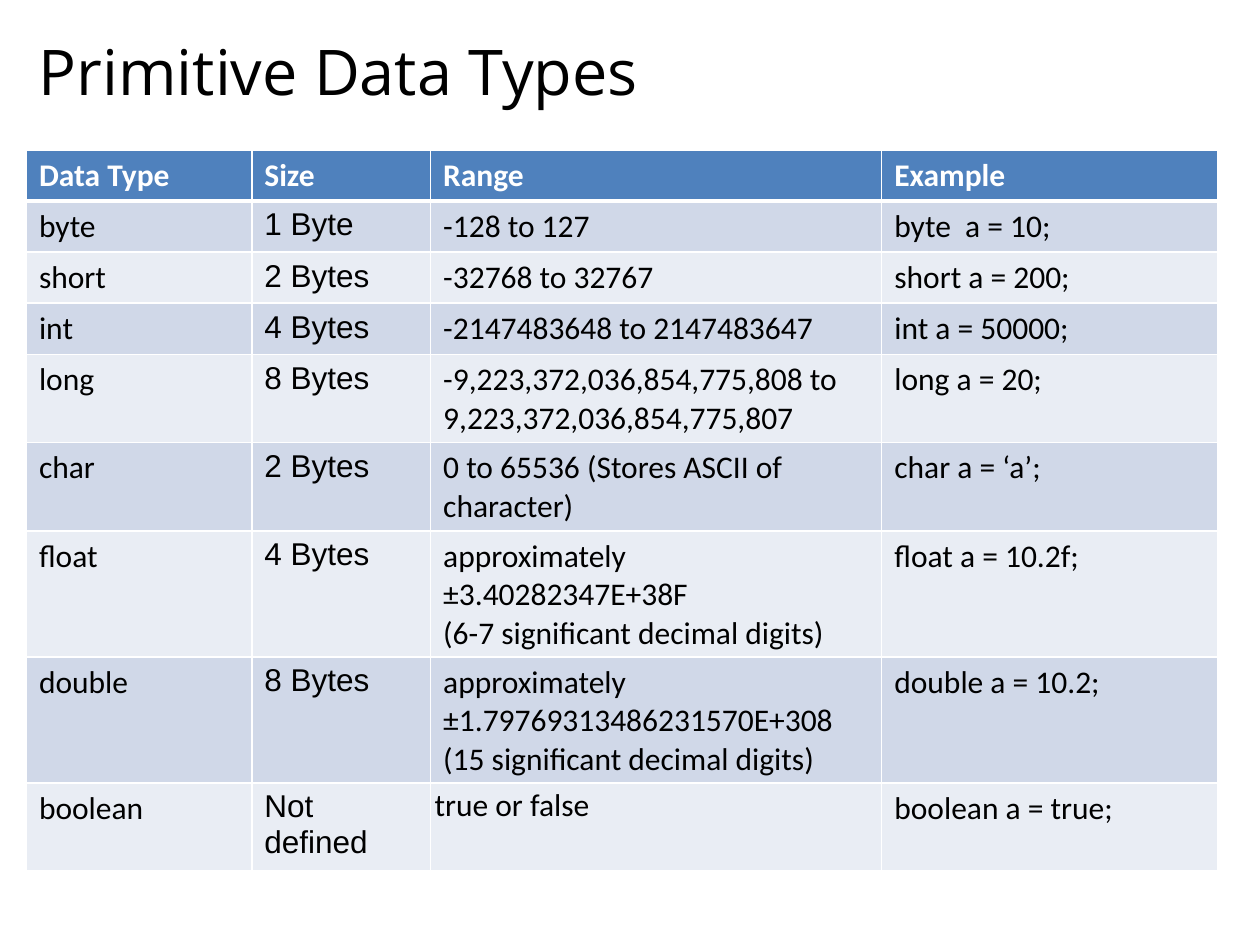
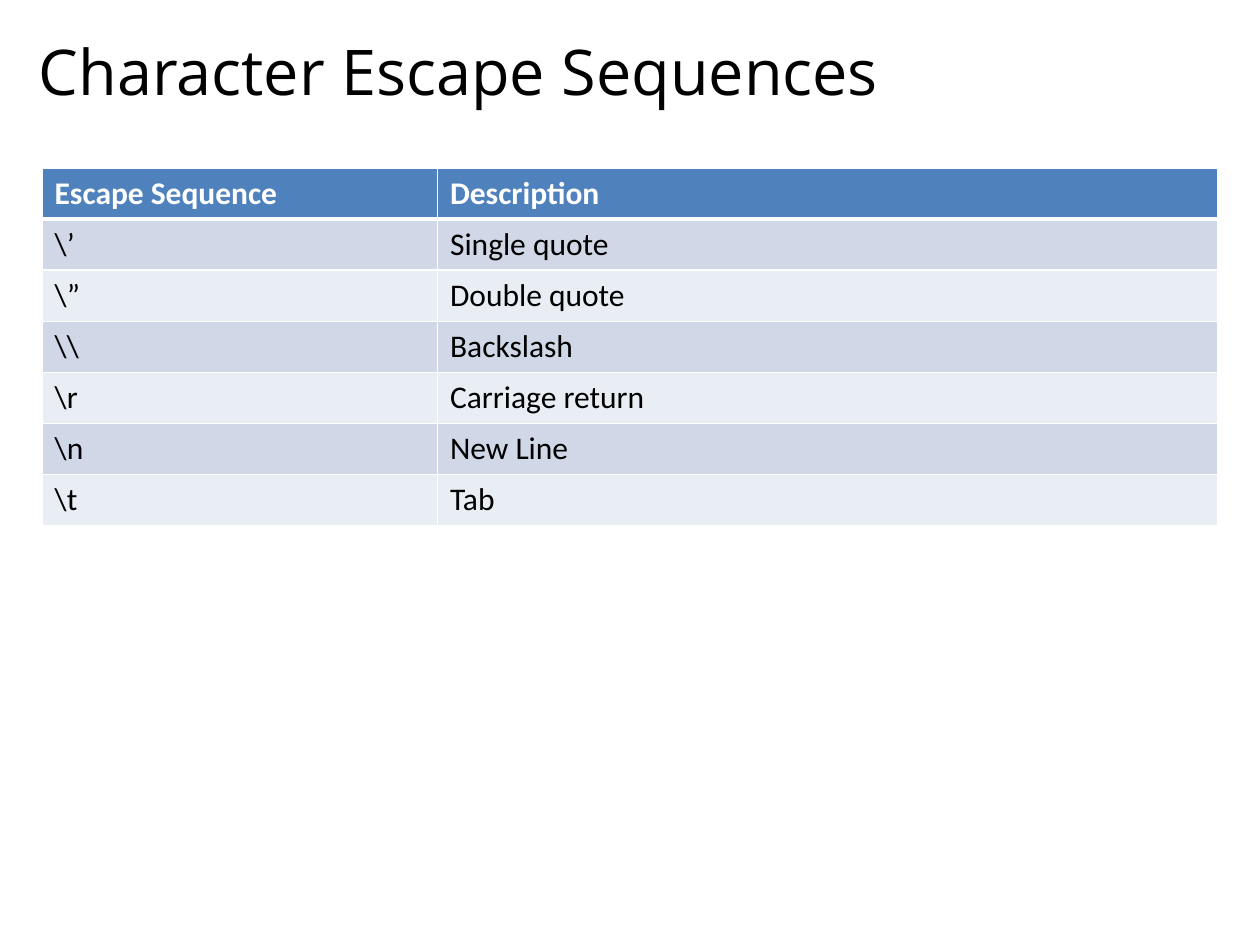
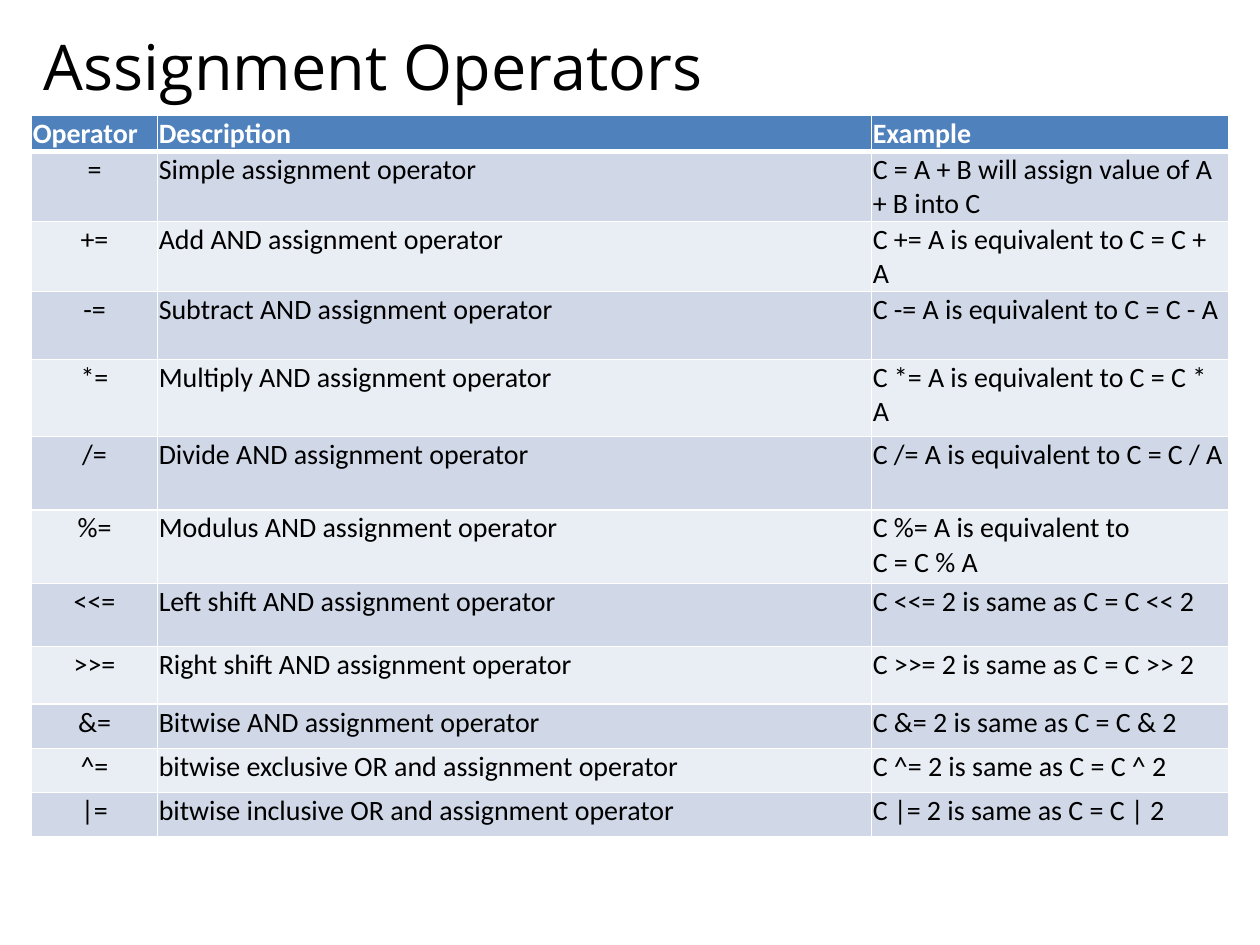
"""Build three slides of programming language reference tables."""
import dataclasses
import typing

import pptx
import pptx.dml.color
import pptx.enum.text
import pptx.oxml
import pptx.oxml.ns
import pptx.util

Pt = pptx.util.Pt
ALIGN = pptx.enum.text.PP_ALIGN
WHITE, BLACK, HEAD = "FFFFFF", "000000", "4F81BD"
BANDS = ("D0D8E8", "E9EDF4")
ROOMY, TIGHT, SNUG = (7.2, 3.6), (0.75, 0.75), (2.25, 2.25)


@dataclasses.dataclass(frozen=True)
class Box:
    left: float
    top: float
    width: float
    height: float


@dataclasses.dataclass(frozen=True)
class Look:
    font: str = "Calibri"
    align: typing.Optional[ALIGN] = None
    inset: tuple[float, float] = ROOMY


@dataclasses.dataclass(frozen=True)
class Page:
    title: str
    place: Box
    grid: Box
    cols: list[float]
    rows: list[float]
    cells: list[tuple[str, ...]]
    size: float
    looks: list[Look]
    odd: dict[tuple[int, int], Look] = dataclasses.field(default_factory=dict)


TOP = Box(15.1, 8.6, 689.8, 63.4)
PLAIN = Look()
CLOSE = Look(inset=TIGHT)
TYPES = [
    ("Data Type", "Size", "Range", "Example"),
    ("byte", "1 Byte", "-128 to 127", "byte  a = 10;"),
    ("short", "2 Bytes", "-32768 to 32767", "short a = 200;"),
    ("int", "4 Bytes", "-2147483648 to 2147483647", "int a = 50000;"),
    ("long", "8 Bytes", "-9,223,372,036,854,775,808 to 9,223,372,036,854,775,807",
     "long a = 20;"),
    ("char", "2 Bytes", "0 to 65536 (Stores ASCII of character)", "char a = ‘a’;"),
    ("float", "4 Bytes",
     "approximately ±3.40282347E+38F\v(6-7 significant decimal digits)",
     "float a = 10.2f;"),
    ("double", "8 Bytes",
     "approximately ±1.79769313486231570E+308\v(15 significant decimal digits)",
     "double a = 10.2;"),
    ("boolean", "Not defined", "true or false", "boolean a = true;"),
]
CODES = [
    ("Escape Sequence", "Description"),
    (r"\’", "Single quote"),
    (r"\”", "Double quote"),
    (r"\\", "Backslash"),
    (r"\r", "Carriage return"),
    (r"\n", "New Line"),
    (r"\t", "Tab"),
]
SIGNS = [
    ("Operator", "Description", "Example"),
    ("=", "Simple assignment operator", "C = A + B will assign value of A + B into C"),
    ("+=", "Add AND assignment operator", "C += A is equivalent to C = C + A"),
    ("-=", "Subtract AND assignment operator", "C -= A is equivalent to C = C - A"),
    ("*=", "Multiply AND assignment operator", "C *= A is equivalent to C = C * A"),
    ("/=", "Divide AND assignment operator", "C /= A is equivalent to C = C / A"),
    ("%=", "Modulus AND assignment operator", "C %= A is equivalent to\nC = C % A"),
    ("<<=", "Left shift AND assignment operator", "C <<= 2 is same as C = C << 2"),
    (">>=", "Right shift AND assignment operator", "C >>= 2 is same as C = C >> 2"),
    ("&=", "Bitwise AND assignment operator", "C &= 2 is same as C = C & 2"),
    ("^=", "bitwise exclusive OR and assignment operator",
     "C ^= 2 is same as C = C ^ 2"),
    ("|=", "bitwise inclusive OR and assignment operator",
     "C |= 2 is same as C = C | 2"),
]
PAGES = [
    Page("Primitive Data Types", TOP, Box(15.1, 85.7, 681, 391),
         [128.8, 102.2, 257.8, 192.2], [29.2] * len(TYPES), TYPES, 18,
         [PLAIN, Look("Arial"), PLAIN, PLAIN],
         {(8, 2): Look(align=ALIGN.JUSTIFY, inset=SNUG)}),
    Page("Character Escape Sequences", TOP, Box(24, 96, 672, 204.4),
         [226, 446], [29.2] * len(CODES), CODES, 18, [PLAIN, PLAIN]),
    Page("Assignment Operators", Box(18, 9.4, 648, 56.2), Box(18, 66, 684, 412.6),
         [72, 408, 204], [10, 39, 39, 39, 44, 42, 42, 36, 33, 25.2, 25.2, 25.2],
         SIGNS, 16, [Look(align=ALIGN.CENTER, inset=TIGHT), CLOSE, CLOSE]),
]


def tint(code: str) -> pptx.dml.color.RGBColor:
    """Turn a hex string into a colour."""
    return pptx.dml.color.RGBColor.from_string(code)


def put(item: typing.Any, form: dict[str, typing.Any]) -> None:
    """Set each format value on an object."""
    for name, value in form.items():
        setattr(item, name, value)


def span(box: Box) -> list[int]:
    """Give the four lengths of a box."""
    return [Pt(size) for size in dataclasses.astuple(box)]


def ink(frame: typing.Any, font: str, size: float, code: str, bold: bool,
        align: typing.Optional[ALIGN] = None) -> None:
    """Style all text in a frame."""
    for para in frame.paragraphs:
        para.alignment = align
        for run in para.runs:
            put(run.font, {"name": font, "size": Pt(size), "bold": bold})
            run.font.color.rgb = tint(code)


def edge(cell: typing.Any, row: int) -> None:
    """Rule the sides of a cell, with a thick line under the header."""
    props = cell._tc.get_or_add_tcPr()
    thick = {"T": row == 1, "B": row == 0}
    for side in "LRTB":
        width = Pt(3 if thick.get(side) else 1)
        props.append(pptx.oxml.parse_xml(
            f'<a:ln{side} {pptx.oxml.ns.nsdecls("a")} w="{width}"><a:solidFill>'
            f'<a:srgbClr val="{WHITE}"/></a:solidFill></a:ln{side}>'))


def paint(cell: typing.Any, text: str, row: int, look: Look, size: float) -> None:
    """Fill one cell with its text, borders and band colour."""
    side, end = (Pt(gap) for gap in look.inset)
    put(cell, {"text": text, "margin_left": side, "margin_right": side,
               "margin_top": end, "margin_bottom": end})
    edge(cell, row)
    cell.fill.solid()
    cell.fill.fore_color.rgb = tint(BANDS[(row - 1) % 2] if row else HEAD)
    ink(cell.text_frame, look.font, size, BLACK if row else WHITE, row == 0, look.align)


def head(slide: typing.Any, page: Page) -> None:
    """Write the slide title."""
    frame = slide.shapes.add_textbox(*span(page.place)).text_frame
    put(frame, {"text": page.title, "word_wrap": True,
                "vertical_anchor": pptx.enum.text.MSO_ANCHOR.MIDDLE})
    ink(frame, "Open Sans", 36, BLACK, False)


def chart(slide: typing.Any, page: Page) -> None:
    """Draw the table of a page."""
    shape = slide.shapes.add_table(len(page.rows), len(page.cols), *span(page.grid))
    table = shape.table
    for col, width in zip(table.columns, page.cols):
        col.width = Pt(width)
    for row, height in zip(table.rows, page.rows):
        row.height = Pt(height)
    shape.height = Pt(page.grid.height)
    for row, texts in enumerate(page.cells):
        for col, text in enumerate(texts):
            base = page.looks[col] if row else Look(inset=page.looks[col].inset)
            paint(table.cell(row, col), text, row, page.odd.get((row, col), base),
                  page.size)


def main() -> None:
    """Build and save the deck."""
    deck = pptx.Presentation()
    put(deck, {"slide_width": Pt(720), "slide_height": Pt(540)})
    for page in PAGES:
        slide = deck.slides.add_slide(deck.slide_layouts[6])
        head(slide, page)
        chart(slide, page)
    deck.save("out.pptx")


if __name__ == "__main__":
    main()
